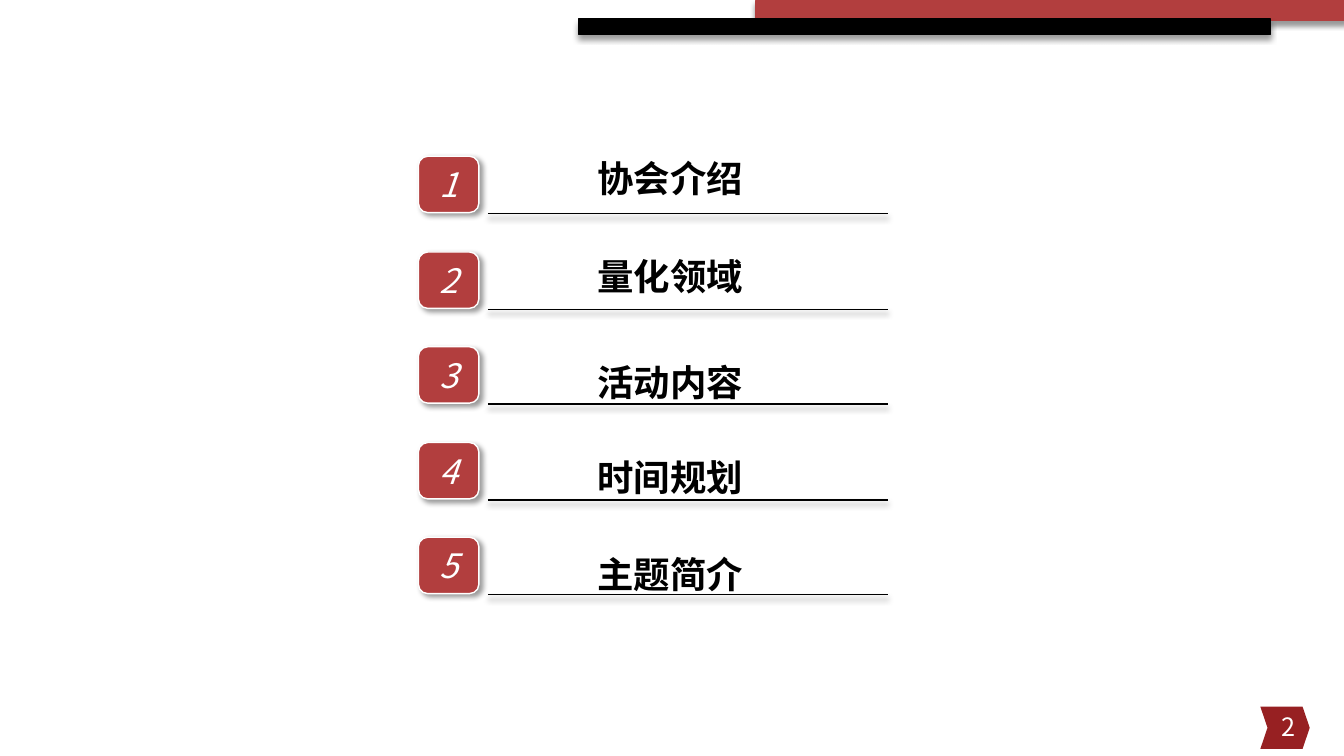
import dataclasses

import pptx
import pptx.dml.color
import pptx.enum.shapes
import pptx.enum.text
import pptx.oxml.ns
import pptx.util
from lxml import etree

SCALE = 9144
KIND = pptx.enum.shapes.MSO_SHAPE
ALIGN = pptx.enum.text.PP_ALIGN
TOPICS = [("协会介绍", -5), ("量化领域", -3), ("活动内容", 8),
          ("时间规划", 7), ("主题简介", 9)]


@dataclasses.dataclass(frozen=True)
class Theme:
    """Hold the colours, font and type sizes."""
    red: str = "B23E3E"
    dark: str = "972022"
    black: str = "000000"
    white: str = "FFFFFF"
    font: str = "Noto Sans CJK SC"
    page: int = 18
    badge: int = 24
    topic: int = 26


THEME = Theme()


def px(*sizes):
    """Turn px lengths into EMU."""
    return [pptx.util.Emu(size * SCALE) for size in sizes]


def rgb(code):
    """Make a colour from its hex code."""
    return pptx.dml.color.RGBColor.from_string(code)


def cast(part, angle):
    """Give a part a soft shadow falling at an angle."""
    qn = pptx.oxml.ns.qn
    props = part._element.spPr
    fx = props.find(qn("a:effectLst"))
    if fx is None:
        fx = etree.SubElement(props, qn("a:effectLst"))
    shade = etree.SubElement(
        fx, qn("a:outerShdw"), blurRad=str(pptx.util.Pt(4)),
        dist=str(pptx.util.Pt(3)), dir=str(angle * 60000), rotWithShape="0")
    tint = etree.SubElement(shade, qn("a:srgbClr"), val=THEME.black)
    etree.SubElement(tint, qn("a:alpha"), val="40000")


def stroke(part, code, width):
    """Set the line of a part."""
    part.line.color.rgb = rgb(code)
    part.line.width = pptx.util.Pt(width)


def block(shapes, kind, box, fill, edge=None, width=1, angle=None):
    """Add a filled shape."""
    part = shapes.add_shape(kind, *px(*box))
    part.fill.solid()
    part.fill.fore_color.rgb = rgb(fill)
    if edge:
        stroke(part, edge, width)
    else:
        part.line.fill.background()
    part.shadow.inherit = False
    if angle is not None:
        cast(part, angle)
    return part


def write(part, text, size, color, align=ALIGN.CENTER, bold=False, italic=False):
    """Put formatted text into a part."""
    frame = part.text_frame
    frame.word_wrap = True
    frame.vertical_anchor = pptx.enum.text.MSO_ANCHOR.MIDDLE
    para = frame.paragraphs[0]
    para.alignment = align
    run = para.add_run()
    run.text = text
    font = run.font
    font.name = THEME.font
    font.size = pptx.util.Pt(size)
    font.color.rgb = rgb(color)
    font.bold = bold
    font.italic = italic
    qn = pptx.oxml.ns.qn
    etree.SubElement(run._r.get_or_add_rPr(), qn("a:ea"), typeface=THEME.font)


def header(shapes, box):
    """Draw the two bars at the top."""
    left, top, width, height = box
    block(shapes, KIND.RECTANGLE, (left + 177, top, width - 177, 18),
          THEME.red, THEME.red, 3, 90)
    block(shapes, KIND.RECTANGLE, (left, top + 18, 686, height - 18),
          THEME.black, THEME.black, 1, 90)


def footer(shapes, box, page):
    """Draw the page mark and its number."""
    left, top, width, height = box
    mark = block(shapes, KIND.CHEVRON, box, THEME.dark)
    mark.adjustments[0] = 0.17
    label = shapes.add_textbox(*px(left + width - 304, top, 300, height - 2))
    write(label, str(page), THEME.page, THEME.white, ALIGN.RIGHT)


def entry(shapes, box, number, topic, shift):
    """Draw one numbered topic over its rule."""
    left, top, width, height = box
    group = shapes.add_group_shape().shapes
    badge = block(group, KIND.ROUNDED_RECTANGLE, (left, top, 60, height - 1),
                  THEME.red, THEME.white, 1, 45)
    write(badge, str(number), THEME.badge, THEME.white, italic=True)
    base = top + height
    rule = group.add_connector(
        pptx.enum.shapes.MSO_CONNECTOR.STRAIGHT,
        *px(left + 69, base, left + width, base))
    stroke(rule, THEME.black, 1)
    cast(rule, 90)
    label = shapes.add_textbox(*px(left + 69, top + shift, 362, 54))
    write(label, topic, THEME.topic, THEME.black, bold=True)


def agenda(shapes, box):
    """Stack the topics at an equal pitch."""
    left, top, width, height = box
    row = 57
    gaps = len(TOPICS) - 1
    for index, (topic, shift) in enumerate(TOPICS):
        drop = (2 * index * (height - row) + gaps) // (2 * gaps)
        entry(shapes, (left, top + drop, width, row), index + 1, topic, shift)


def main():
    """Build and save the slide."""
    deck = pptx.Presentation()
    deck.slide_width, deck.slide_height = px(1333, 750)
    shapes = deck.slides.add_slide(deck.slide_layouts[6]).shapes
    header(shapes, (574, 1, 759, 33))
    footer(shapes, (1250, 701, 49, 42), 2)
    agenda(shapes, (415, 155, 466, 435))
    deck.save("out.pptx")


if __name__ == "__main__":
    main()
